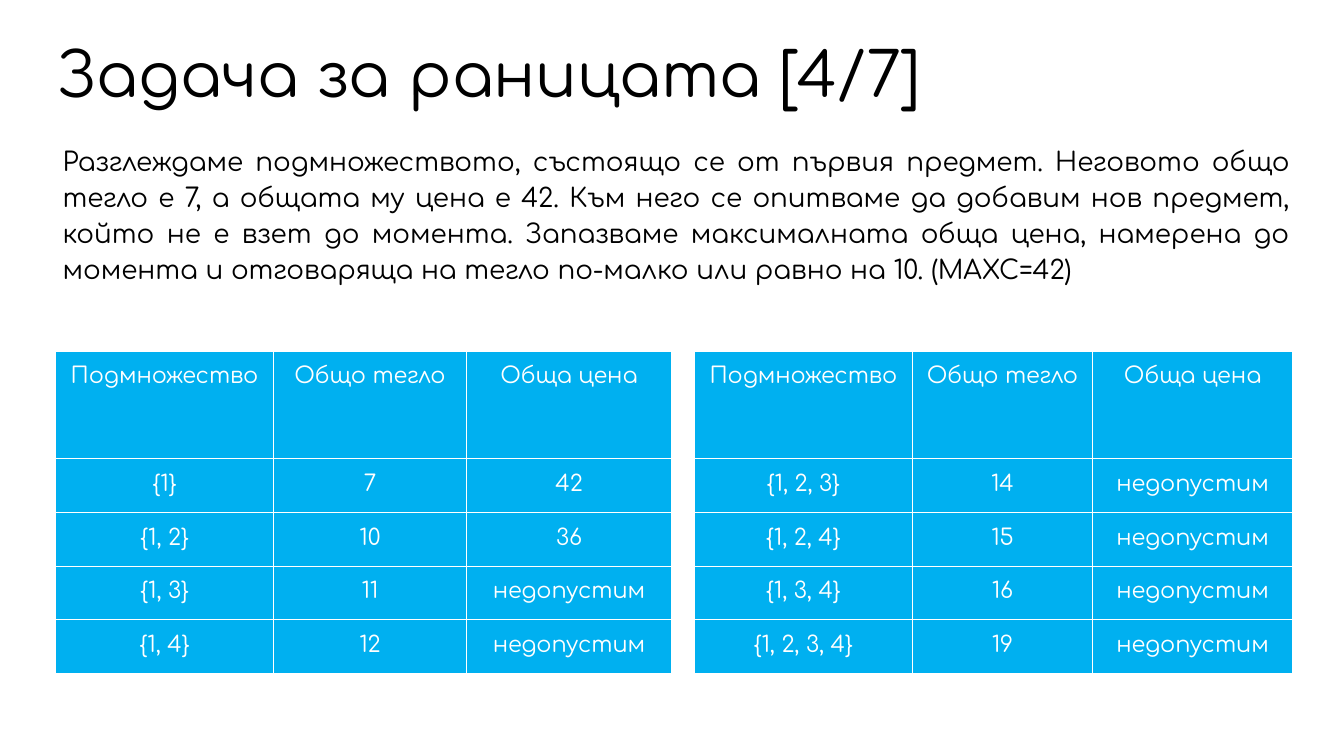
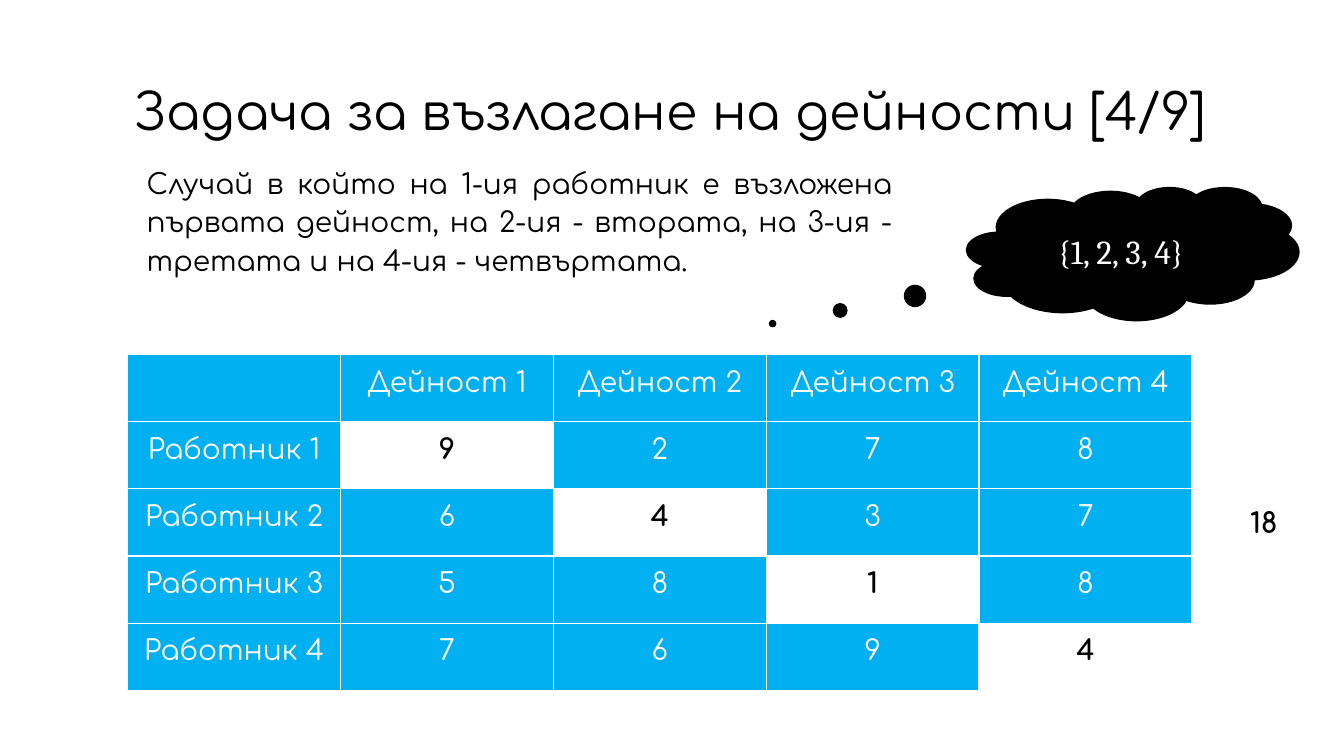
from dataclasses import dataclass

from lxml.etree import SubElement
from pptx import Presentation
from pptx.dml.color import RGBColor
from pptx.enum.shapes import MSO_SHAPE
from pptx.enum.text import MSO_ANCHOR, MSO_AUTO_SIZE, PP_ALIGN
from pptx.oxml.ns import qn
from pptx.util import Inches, Pt


@dataclass(frozen=True)
class Theme:
    ink: str = "000000"
    paper: str = "FFFFFF"
    accent: str = "00B0F0"
    font: str = "Comfortaa"
    formula_font: str = "Cambria"
    title_large: float = 44
    title_small: float = 36
    body_small: float = 18.7
    body_large: float = 20
    table_small: float = 16
    table_large: float = 20
    callout: float = 24
    border: float = 1


GRID_COLUMNS, GRID_ROWS = 160, 90
BOX_NAMES = ("left", "top", "width", "height")
MARGIN_NAMES = ("margin_left", "margin_top", "margin_right", "margin_bottom")
TEXT_MARGINS = dict(zip(MARGIN_NAMES, map(Inches, (0.12, 0.04, 0.12, 0.04))))
CELL_MARGINS = dict.fromkeys(MARGIN_NAMES, Inches(0.13))
TITLE_FRAME = {**TEXT_MARGINS, "word_wrap": True, "auto_size": MSO_AUTO_SIZE.NONE,
               "vertical_anchor": MSO_ANCHOR.MIDDLE}
BODY_FRAME = {**TITLE_FRAME, "vertical_anchor": MSO_ANCHOR.TOP}
TITLE_PARAGRAPH = {"alignment": PP_ALIGN.LEFT, "line_spacing": 0.9}
BODY_PARAGRAPH = {"alignment": PP_ALIGN.JUSTIFY, "line_spacing": 1.15,
                  "space_before": Pt(16), "space_after": Pt(16)}
CENTERED = {"alignment": PP_ALIGN.CENTER}


def set_attributes(target, values):
    for name, value in values.items():
        setattr(target, name, value)


class Deck:
    def __init__(self, theme):
        self.theme = theme
        self.presentation = Presentation()
        set_attributes(self.presentation,
                       {"slide_width": Inches(13.33), "slide_height": Inches(7.5)})
        self.slide = None

    def across(self, columns):
        return round(self.presentation.slide_width * columns / GRID_COLUMNS)

    def down(self, rows):
        return round(self.presentation.slide_height * rows / GRID_ROWS)

    def box(self, left, top, width, height):
        return (self.across(left), self.down(top), self.across(width), self.down(height))

    def add_slide(self):
        layout = self.presentation.slide_layouts[1]
        self.slide = self.presentation.slides.add_slide(layout)

    def set_text(self, frame, text, size, paragraph_format, **font_format):
        paragraph = frame.paragraphs[0]
        set_attributes(paragraph, paragraph_format)
        if not text:
            return paragraph
        run = paragraph.add_run()
        run.text = text
        color = font_format.pop("color", self.theme.ink)
        set_attributes(run.font, {"name": self.theme.font, "size": Pt(size),
                                  "bold": False, **font_format})
        run.font.color.rgb = RGBColor.from_string(color)
        return paragraph

    def fill_placeholder(self, shape, box, frame_format, text, size, paragraph_format):
        set_attributes(shape, dict(zip(BOX_NAMES, self.box(*box))))
        set_attributes(shape.text_frame, frame_format)
        return self.set_text(shape.text_frame, text, size, paragraph_format)

    def title(self, text, box, size):
        self.fill_placeholder(self.slide.shapes.title, box, TITLE_FRAME,
                              text, size, TITLE_PARAGRAPH)

    def body(self, text, box, size):
        paragraph = self.fill_placeholder(self.slide.placeholders[1], box, BODY_FRAME,
                                          text, size, BODY_PARAGRAPH)
        properties = paragraph._p.get_or_add_pPr()
        properties.set("marL", "0")
        properties.set("indent", "0")
        SubElement(properties, qn("a:buNone"))

    def border(self, cell):
        properties = cell._tc.get_or_add_tcPr()
        for side in ("lnL", "lnR", "lnT", "lnB"):
            line = SubElement(properties, qn(f"a:{side}"), w=str(Pt(self.theme.border)))
            fill = SubElement(line, qn("a:solidFill"))
            SubElement(fill, qn("a:srgbClr"), val=self.theme.paper)

    def table(self, records, left, top, widths, heights, size, highlighted=()):
        box = self.box(left, top, sum(widths), sum(heights))
        table = self.slide.shapes.add_table(len(heights), len(widths), *box).table
        set_attributes(table, {"first_row": False, "horz_banding": False})
        for column, width in zip(table.columns, widths):
            column.width = self.across(width)
        for row, height in zip(table.rows, heights):
            row.height = self.down(height)
        for row_index, record in enumerate(records):
            for column_index, text in enumerate(record):
                cell = table.cell(row_index, column_index)
                chosen = (row_index, column_index) in highlighted
                set_attributes(cell, CELL_MARGINS)
                self.border(cell)
                cell.fill.solid()
                cell.fill.fore_color.rgb = RGBColor.from_string(
                    self.theme.paper if chosen else self.theme.accent)
                self.set_text(cell.text_frame, text, size, CENTERED, bold=chosen,
                              color=self.theme.ink if chosen else self.theme.paper)

    def thought(self, text, box, tail):
        cloud = self.slide.shapes.add_shape(MSO_SHAPE.CLOUD_CALLOUT, *self.box(*box))
        cloud.shadow.inherit = False
        cloud.fill.solid()
        cloud.fill.fore_color.rgb = RGBColor.from_string(self.theme.ink)
        cloud.line.fill.background()
        for index, offset in enumerate(tail):
            cloud.adjustments[index] = offset
        set_attributes(cloud.text_frame, {**CELL_MARGINS, "word_wrap": True,
                                          "vertical_anchor": MSO_ANCHOR.MIDDLE})
        self.set_text(cloud.text_frame, text, self.theme.callout, CENTERED,
                      name=self.theme.formula_font, color=self.theme.paper)

    def label(self, text, box, size):
        frame = self.slide.shapes.add_textbox(*self.box(*box)).text_frame
        frame.word_wrap = True
        self.set_text(frame, text, size, CENTERED, bold=True)


def add_knapsack_slide(deck):
    theme = deck.theme
    header = ("Подмножество", "Общо тегло", "Обща цена")
    invalid = "недопустим"
    small_subsets = (("{1}", "7", "42"), ("{1, 2}", "10", "36"),
                     ("{1, 3}", "11", invalid), ("{1, 4}", "12", invalid))
    large_subsets = (("{1, 2, 3}", "14", invalid), ("{1, 2, 4}", "15", invalid),
                     ("{1, 3, 4}", "16", invalid), ("{1, 2, 3, 4}", "19", invalid))
    heights = (12.8,) + (6.4,) * 4
    deck.add_slide()
    deck.title("Задача за раницата [4/7]", (5.4, 3.6, 149, 11.2), theme.title_large)
    deck.body(
        "Разглеждаме подмножеството, състоящо се от първия предмет. "
        "Неговото общо тегло е 7, а общата му цена е 42. "
        "Към него се опитваме да добавим нов предмет, който не е взет до момента. "
        "Запазваме максималната обща цена, намерена до момента и отговаряща "
        "на тегло по-малко или равно на 10. (MAXC=42)",
        (6, 16.2, 149, 65.9), theme.body_small)
    for left, widths, subsets in ((6.6, (26, 22.9, 24.5), small_subsets),
                                  (82.7, (25.9, 21.5, 23.8), large_subsets)):
        deck.table((header, *subsets), left, 41.8, widths, heights, theme.table_small)


def add_assignment_slide(deck):
    theme = deck.theme
    costs = ((9, 2, 7, 8), (6, 4, 3, 7), (5, 8, 1, 8), (7, 6, 9, 4))
    numbers = range(1, len(costs) + 1)
    header = ("", *(f"Дейност {number}" for number in numbers))
    workers = [(f"Работник {number}", *map(str, row))
               for number, row in zip(numbers, costs)]
    assigned = [(number, number) for number in numbers]
    total = sum(costs[number - 1][number - 1] for number in numbers)
    deck.add_slide()
    deck.title("Задача за възлагане на дейности [4/9]",
               (14.6, 8.6, 139, 10.1), theme.title_small)
    deck.body(
        "Случай в който на 1-ия работник е възложена първата дейност, "
        "на 2-ия - втората, на 3-ия - третата и на 4-ия - четвъртата.",
        (16, 18.7, 91.7, 19.6), theme.body_large)
    deck.thought("{1, 2, 3, 4}", (115, 22.2, 39.7, 16), (-1.08, 0.52))
    deck.table((header, *workers), 15.2, 42.2, (25.34,) * 5, (8,) * 5,
               theme.table_large, assigned)
    deck.label(str(total), (144.7, 59.6, 11.5, 8), theme.body_large)


def main():
    deck = Deck(Theme())
    add_knapsack_slide(deck)
    add_assignment_slide(deck)
    deck.presentation.save("out.pptx")


if __name__ == "__main__":
    main()
